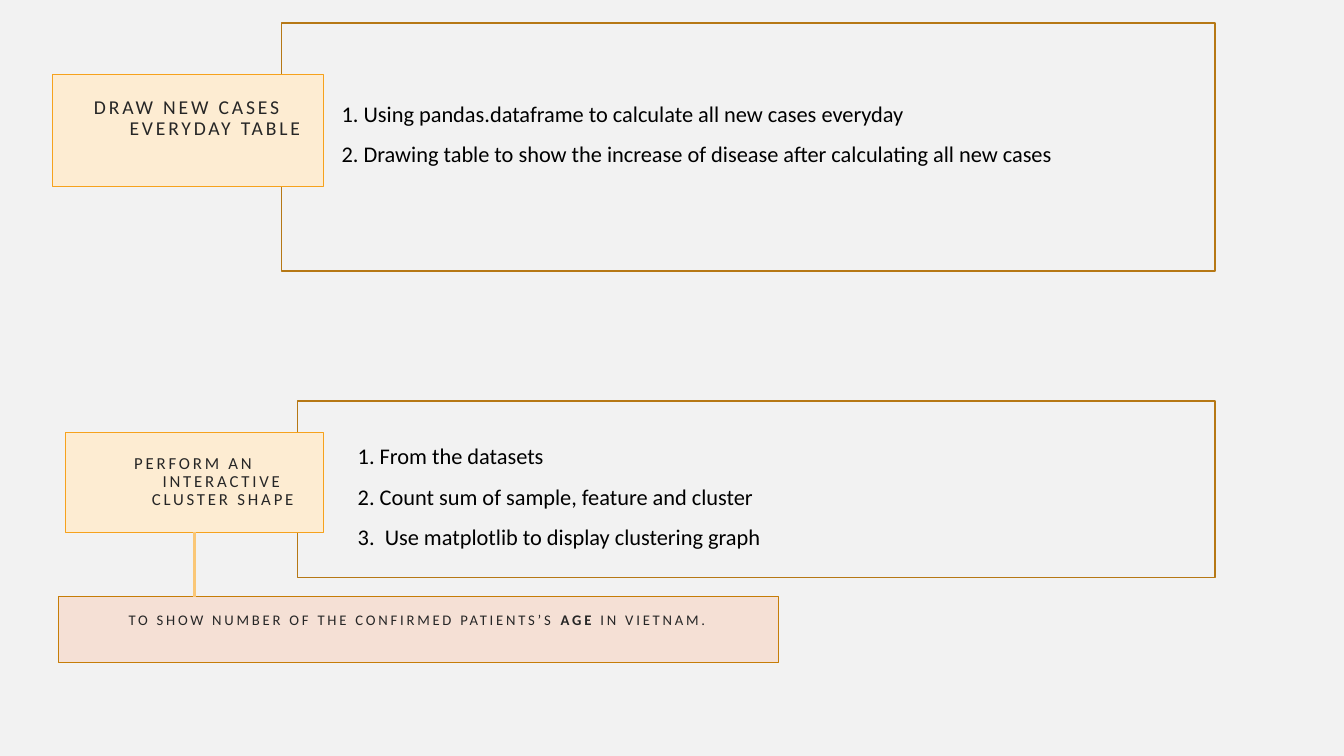
import copy

import pptx
import pptx.dml.color
import pptx.enum.shapes
import pptx.enum.text
import pptx.oxml.ns
import pptx.util
from pptx.util import Inches, Pt

RGBColor = pptx.dml.color.RGBColor
BACKGROUND = RGBColor(0xF2, 0xF2, 0xF2)
PANEL_LINE = RGBColor(0xB6, 0x78, 0x15)
LABEL_FILL = RGBColor(0xFD, 0xEC, 0xD2)
LABEL_LINE = RGBColor(0xF6, 0xA2, 0x1D)
PURPOSE_FILL = RGBColor(0xF5, 0xE0, 0xD5)
PURPOSE_LINE = RGBColor(0xC6, 0x7D, 0x08)
LINK = RGBColor(0xFA, 0xC7, 0x77)
BLACK = RGBColor(0, 0, 0)
DARK = RGBColor(0x26, 0x26, 0x26)
FONT = "Calibri"

# box, bottom inset, steps
PANELS = [
    ((2.79, 0.23, 9.26, 2.46), 0.45, [
        "1. Using pandas.dataframe to calculate all new cases everyday",
        "2. Drawing table to show the increase of disease after calculating all new cases",
    ]),
    ((2.95, 3.98, 9.1, 1.75), 0.05, [
        "1. From the datasets",
        "2. Count sum of sample, feature and cluster",
        "3.  Use matplotlib to display clustering graph",
    ]),
]
# box, fill, line, size, runs as (text, bold); \v is a line break
LABELS = [
    ((0.58, 5.92, 7.14, 0.65), PURPOSE_FILL, PURPOSE_LINE, 10.5, [
        ("TO SHOW NUMBER OF THE CONFIRMED PATIENTS’S ", False),
        ("AGE", True),
        (" IN VIETNAM.\v", False),
    ]),
    ((0.52, 0.74, 2.69, 1.11), LABEL_FILL, LABEL_LINE, 14,
     [("DRAW NEW CASES EVERYDAY TABLE\v", False)]),
    ((0.65, 4.29, 2.56, 0.99), LABEL_FILL, LABEL_LINE, 12,
     [("PERFORM AN INTERACTIVE CLUSTER SHAPE", False)]),
]


def add_box(s, box, fill, line):
    sp = s.shapes.add_shape(pptx.enum.shapes.MSO_SHAPE.RECTANGLE, *map(Inches, box))
    sp.shadow.inherit = False
    if fill is None:
        sp.fill.background()
    else:
        sp.fill.solid()
        sp.fill.fore_color.rgb = fill
    sp.line.color.rgb = line
    sp.line.width = Pt(1)
    sp.text_frame.word_wrap = True
    sp.text_frame.vertical_anchor = pptx.enum.text.MSO_ANCHOR.MIDDLE
    return sp


def style_run(r, size, color):
    r.font.name = FONT
    r.font.size = Pt(size)
    r.font.color.rgb = color


def set_indent(p, left, first):
    pPr = p._p.get_or_add_pPr()
    pPr.set("marL", str(Inches(left)))
    pPr.set("indent", str(Inches(first)))


def add_panel(s, box, bottom, steps):
    tf = add_box(s, box, None, PANEL_LINE).text_frame
    tf.margin_bottom = Inches(bottom)
    tf.text = "\n".join(steps)
    for p in tf.paragraphs:
        p.alignment = pptx.enum.text.PP_ALIGN.LEFT
        p.line_spacing = 1.5
        set_indent(p, 0.5, 0)
        style_run(p.runs[0], 16, BLACK)


def add_label(s, box, fill, line, size, parts):
    sp = add_box(s, box, fill, line)
    tf = sp.text_frame
    tf.margin_left = tf.margin_right = tf.margin_top = tf.margin_bottom = Inches(0.2)
    p = tf.paragraphs[0]
    p.alignment = pptx.enum.text.PP_ALIGN.CENTER
    p.line_spacing = 0.9
    set_indent(p, 0.56, -0.56)
    for text, bold in parts:
        r = p.add_run()
        r.text = text.rstrip("\v")
        style_run(r, size, DARK)
        r.font.bold = bold
        rPr = r._r.get_or_add_rPr()
        rPr.set("spc", "200")
        if text.endswith("\v"):
            p.add_line_break()
            # The break and the line after it keep the run's size
            p._p.find(pptx.oxml.ns.qn("a:br")).append(copy.deepcopy(rPr))
            end = copy.deepcopy(rPr)
            end.tag = pptx.oxml.ns.qn("a:endParaRPr")
            p._p.append(end)
    return sp


prs = pptx.Presentation()
prs.slide_width, prs.slide_height = Inches(13.33), Inches(7.5)
s = prs.slides.add_slide(prs.slide_layouts[6])
s.background.fill.solid()
s.background.fill.fore_color.rgb = BACKGROUND

for panel in PANELS:
    add_panel(s, *panel)
purpose, table_label, cluster_label = [add_label(s, *label) for label in LABELS]

x = cluster_label.left + cluster_label.width // 2
link = s.shapes.add_connector(pptx.enum.shapes.MSO_CONNECTOR.STRAIGHT,
                              x, cluster_label.top + cluster_label.height, x, purpose.top)
link.begin_connect(cluster_label, 2)
link.line.color.rgb = LINK
link.line.width = Pt(2.25)
link._element.spPr.append(pptx.oxml.parse_xml(
    "<a:effectLst %s/>" % pptx.oxml.ns.nsdecls("a")))

prs.save("out.pptx")
